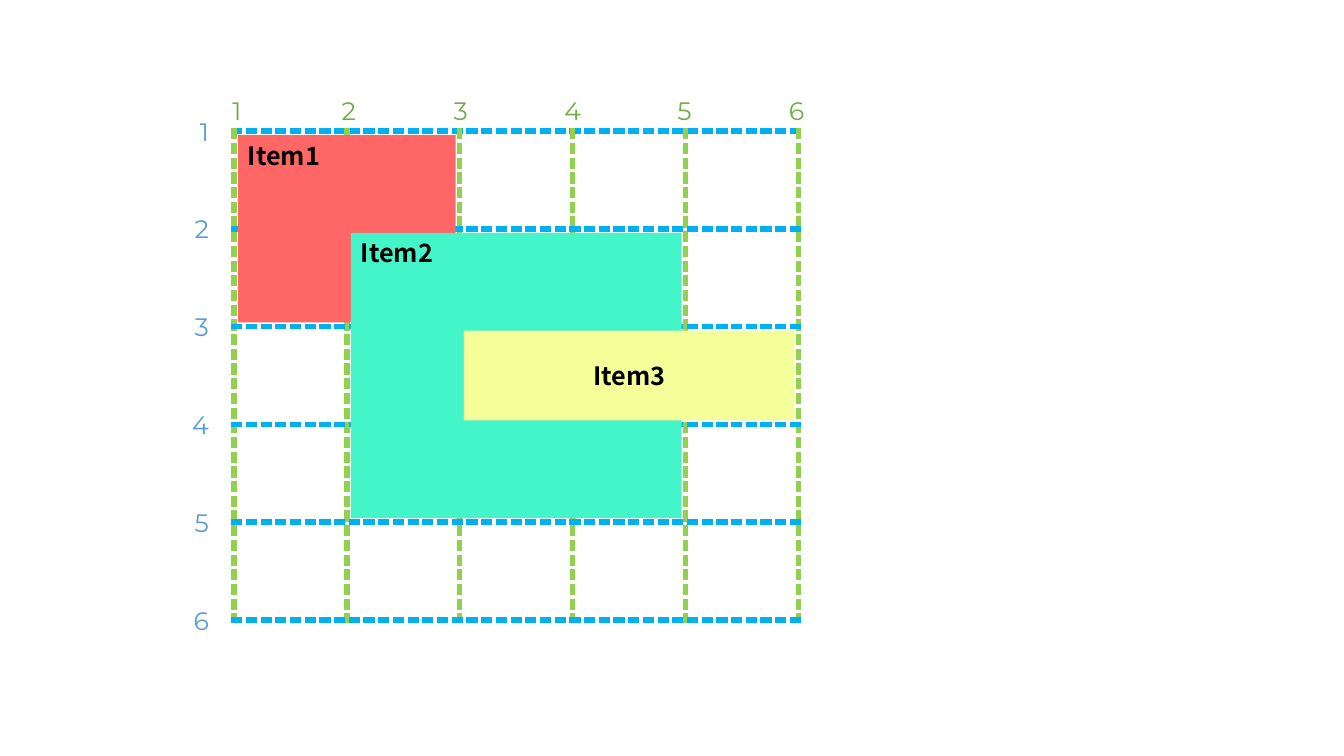
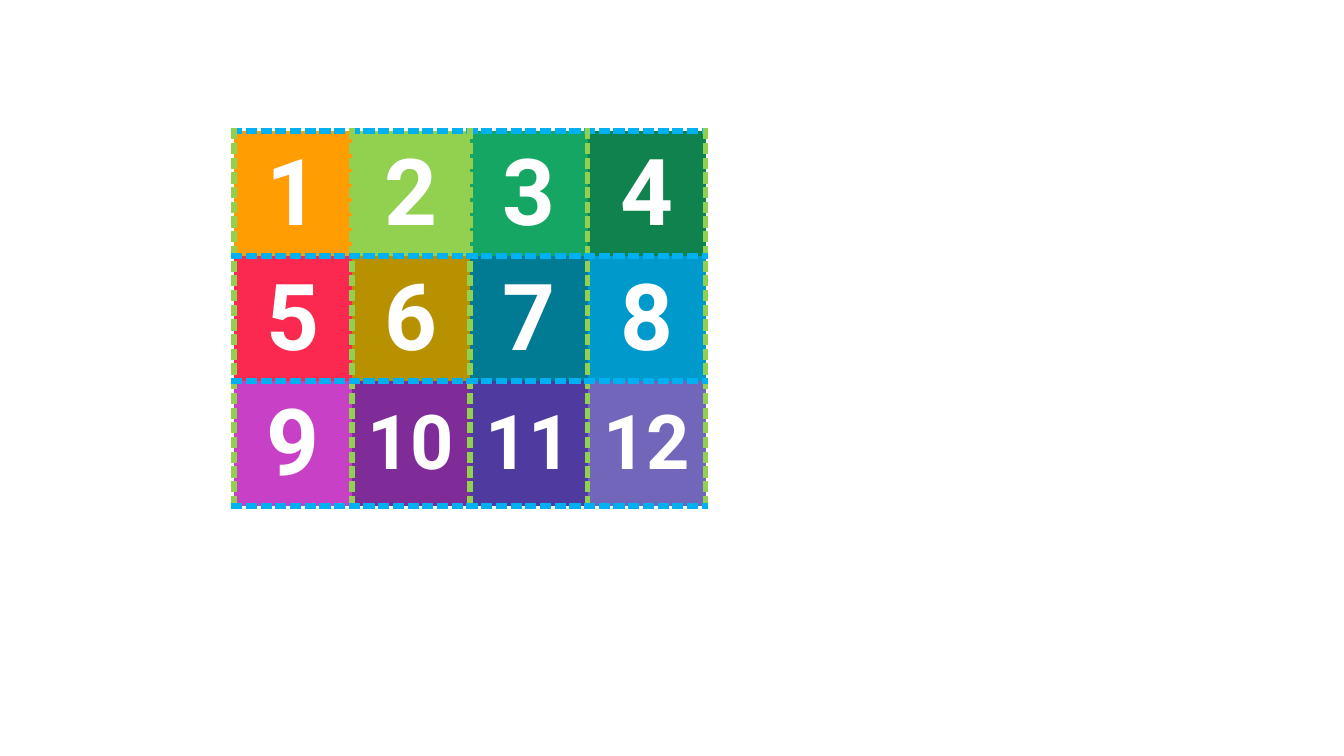
from lxml import etree
from pptx import Presentation, util as u
from pptx.dml.color import RGBColor
from pptx.enum import shapes, text
from pptx.oxml.ns import qn

WHITE = RGBColor(0xFF, 0xFF, 0xFF)
BLACK = RGBColor(0, 0, 0)
COL_LINE = RGBColor(0x92, 0xD0, 0x50)
ROW_LINE = RGBColor(0x00, 0xB0, 0xF0)
COL_TEXT = RGBColor(0x70, 0xAD, 0x47)
ROW_TEXT = RGBColor(0x5B, 0x9B, 0xD5)
LEFT, TOP = 2.32, 1.3
LINE = 4.5

# Slide 1: a grid of SIDE x SIDE cells with items laid over it
SIDE, COL, ROW = 5, 1.12, 0.97
GAP = 0.04
TAG_W, TAG_H, TAG_STEP = 0.74, 0.31, 1.11
MID, START = text.PP_ALIGN.CENTER, text.PP_ALIGN.LEFT
# name, fill, first column, first row, columns, rows, alignment
ITEMS = [
    ("Item1", RGBColor(0xFF, 0x66, 0x66), 0, 0, 2, 2, START),
    ("Item2", RGBColor(0x44, 0xF5, 0xC9), 1, 1, 3, 3, START),
    ("Item3", RGBColor(0xF5, 0xFF, 0x99), 2, 2, 3, 1, MID),
]

# Slide 2: numbered tiles
TILE_W, TILE_H = 1.17, 1.24
TILES = [
    ["FF9D02", "92D050", "15A663", "10824E"],
    ["FB2950", "B89100", "017B93", "0099CC"],
    ["C840C5", "7F2C98", "4F3A9F", "7266BA"],
]


def inches(*sizes):
    return [u.Inches(s) for s in sizes]


def write(frame, words, size=18, font="Montserrat", color=BLACK, bold=False,
          align=MID):
    para = frame.paragraphs[0]
    para.alignment = align
    run = para.add_run()
    run.text = words
    run.font.size = u.Pt(size)
    run.font.name = font
    run.font.bold = bold
    run.font.color.rgb = color


def edge(cell):
    """Give a cell dashed borders, which must come before its fill."""
    props = cell._tc.get_or_add_tcPr()
    sides = [("L", COL_LINE), ("R", COL_LINE), ("T", ROW_LINE), ("B", ROW_LINE)]
    for spot, (side, color) in enumerate(sides):
        line = etree.Element(qn("a:ln" + side), w=str(u.Pt(LINE)))
        fill = etree.SubElement(line, qn("a:solidFill"))
        etree.SubElement(fill, qn("a:srgbClr"), val=str(color))
        etree.SubElement(line, qn("a:prstDash"), val="sysDash")
        props.insert(spot, line)


def add_grid(slide, fills, wide, high):
    """Add a dashed table with one cell for each fill."""
    rows, cols = len(fills), len(fills[0])
    table = slide.shapes.add_table(
        rows, cols, *inches(LEFT, TOP, cols * wide, rows * high)).table
    table.first_row = table.horz_banding = False
    for col in table.columns:
        col.width = u.Inches(wide)
    for row, colors in zip(table.rows, fills):
        row.height = u.Inches(high)
        for cell, color in zip(row.cells, colors):
            cell.fill.solid()
            cell.fill.fore_color.rgb = color
            edge(cell)
    return table


def add_tag(slide, words, left, top, **style):
    box = slide.shapes.add_textbox(*inches(left, top, TAG_W, TAG_H))
    frame = box.text_frame
    frame.word_wrap = True
    frame.vertical_anchor = text.MSO_ANCHOR.MIDDLE
    write(frame, words, **style)


def add_item(slide, name, color, col, row, cols, rows, align):
    item = slide.shapes.add_shape(
        shapes.MSO_SHAPE.RECTANGLE,
        *inches(LEFT + col * COL + GAP, TOP + row * ROW + GAP,
                cols * COL - 2 * GAP, rows * ROW - 2 * GAP))
    item.shadow.inherit = False
    item.fill.solid()
    item.fill.fore_color.rgb = color
    item.line.fill.background()
    frame = item.text_frame
    frame.vertical_anchor = (text.MSO_ANCHOR.MIDDLE if align == MID
                             else text.MSO_ANCHOR.TOP)
    write(frame, name, font="Noto Sans CJK JP", bold=True, align=align)


def draw_items(slide):
    add_grid(slide, [[WHITE] * SIDE] * SIDE, COL, ROW)
    for i in range(SIDE + 1):
        add_tag(slide, str(i + 1), LEFT - 0.34 + i * TAG_STEP, TOP - 0.36,
                color=COL_TEXT)
        add_tag(slide, str(i + 1), LEFT - 0.89, TOP - TAG_H / 2 + i * ROW,
                color=ROW_TEXT, align=text.PP_ALIGN.RIGHT)
    for item in ITEMS:
        add_item(slide, *item)


def draw_tiles(slide):
    fills = [[RGBColor.from_string(code) for code in row] for row in TILES]
    table = add_grid(slide, fills, TILE_W, TILE_H)
    for num, cell in enumerate(table.iter_cells(), 1):
        cell.vertical_anchor = text.MSO_ANCHOR.MIDDLE
        write(cell.text_frame, str(num), size=66 if num < 10 else 54,
              font="Roboto", color=WHITE, bold=True)


def main():
    deck = Presentation()
    deck.slide_width, deck.slide_height = inches(13.33, 7.5)
    for draw in (draw_items, draw_tiles):
        draw(deck.slides.add_slide(deck.slide_layouts[6]))
    deck.save("out.pptx")


if __name__ == "__main__":
    main()
